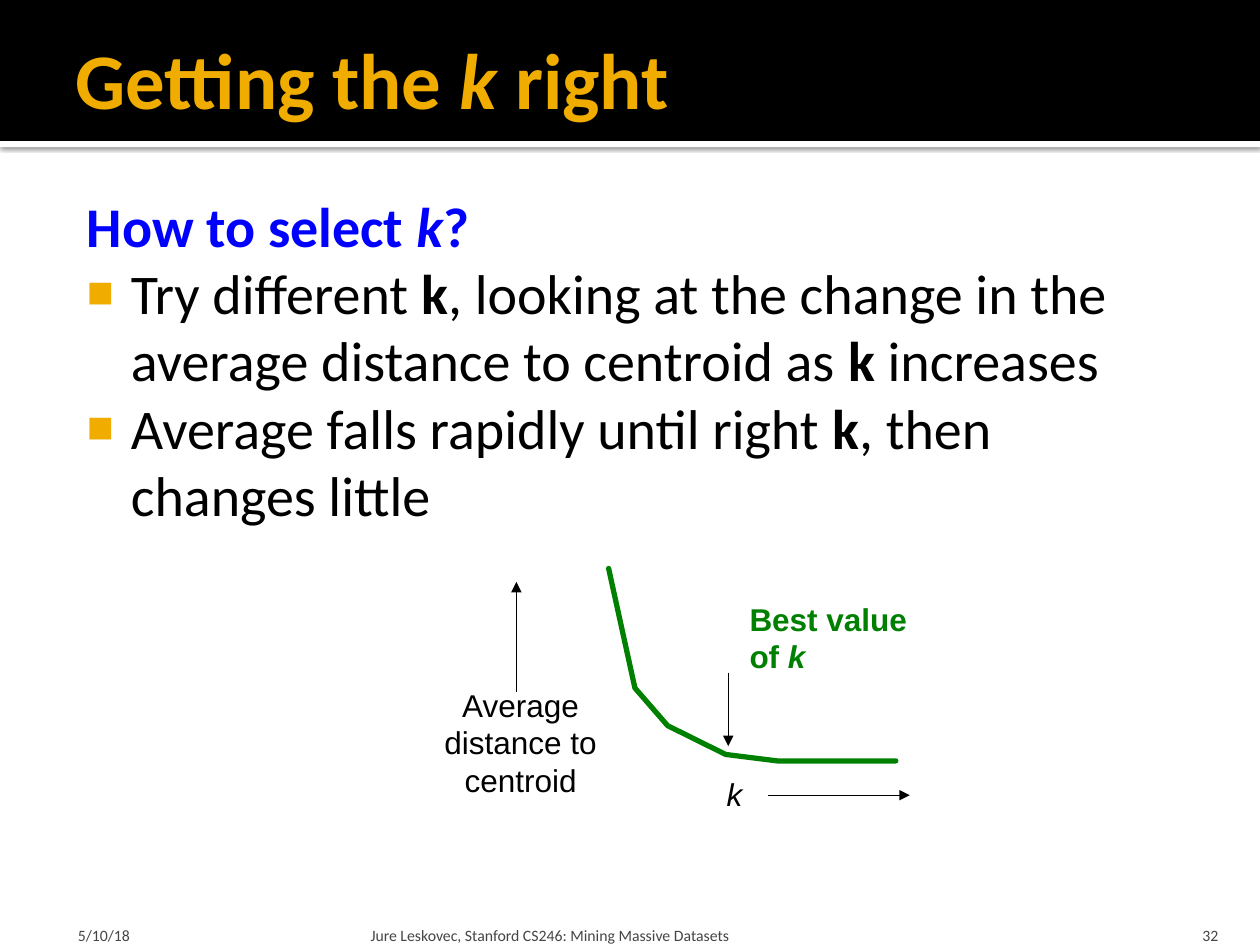
from pptx import Presentation
from pptx.dml.color import RGBColor as RGB
from pptx.enum.shapes import MSO_CONNECTOR as CONN, MSO_SHAPE as SHAPE
from pptx.enum.text import MSO_ANCHOR as ANCHOR, MSO_AUTO_SIZE as AUTO, PP_ALIGN as ALIGN
from pptx.oxml import parse_xml
from pptx.oxml.ns import nsdecls, qn
from pptx.util import Cm, Pt

# Content: a paragraph is a list of (text, style) runs; b = bold, i = italic
TITLE = [[("Getting the ", "b"), ("k", "bi"), (" right", "b")]]
HEADING = [("How to select ", "b"), ("k", "bi"), ("?", "b")]
BULLETS = [
    [("Try different ", ""), ("k", "b"),
     (", looking at the change in the average distance to centroid as ", ""),
     ("k", "b"), (" increases", "")],
    [("Average falls rapidly until right ", ""), ("k", "b"),
     (", then changes little", "")],
]
FOOTERS = [  # text, left, width, left inset, alignment
    ("5/10/18", 1.27, 5.92, 0.3, ALIGN.LEFT),
    ("Jure Leskovec, Stanford CS246: Mining Massive Datasets", 7.34, 15.29, 0.13, ALIGN.LEFT),
    ("32", 22.78, 2.03, 0.25, ALIGN.RIGHT),
]
LABELS = [  # paragraphs, box, colour, alignment
    ([[("k", "i")]], (14.4, 15.49, 0.84, 1.02), "black", ALIGN.LEFT),
    ([[("Average", "")], [("distance to", "")], [("centroid", "")]],
     (8.69, 13.69, 3.61, 2.57), "black", ALIGN.CENTER),
    ([[("Best value", "b")], [("of ", "b"), ("k", "bi")]],
     (14.86, 11.96, 3.71, 1.8), "green", ALIGN.LEFT),
]
ARROWS = [  # x and y of the start, x and y of the head
    (10.41, 13.94, 10.41, 11.73),
    (15.49, 16.03, 18.34, 16.03),
    (14.68, 13.56, 14.68, 15.04),
]
CURVE = [(12.27, 11.46), (12.8, 13.87), (13.46, 14.63), (14.63, 15.21),
         (15.67, 15.34), (17.2, 15.34), (18.06, 15.34)]

THEME = {
    "black": RGB(0, 0, 0), "white": RGB(255, 255, 255),
    "gold": RGB(0xF0, 0xAD, 0), "blue": RGB(0, 0, 255),
    "green": RGB(0, 0x80, 0), "grey": RGB(0x45, 0x45, 0x45),
    "text_font": "Calibri", "label_font": "Arial",
    "title": Pt(45), "body": Pt(32), "label": Pt(18), "footer": Pt(9),
}
INSETS = (0.25, 0.13, 0.25, 0.13)
WIDTH, BAND = 25.4, 2.84

prs = Presentation()
prs.slide_width, prs.slide_height = Cm(WIDTH), Cm(19.05)
s = prs.slides.add_slide(prs.slide_layouts[6])


def add_box(box, insets=INSETS, anchor=ANCHOR.TOP, wrap=True):
    tf = s.shapes.add_textbox(*map(Cm, box)).text_frame
    tf.word_wrap = wrap
    tf.auto_size = AUTO.NONE if wrap else AUTO.SHAPE_TO_FIT_TEXT
    tf.vertical_anchor = anchor
    tf.margin_left, tf.margin_top, tf.margin_right, tf.margin_bottom = map(Cm, insets)
    return tf


def add_runs(p, runs, size, color, font="text_font"):
    for text, style in runs:
        r = p.add_run()
        r.text = text
        r.font.size, r.font.name = THEME[size], THEME[font]
        r.font.color.rgb = THEME[color]
        r.font.bold, r.font.italic = "b" in style, "i" in style


def fill_box(tf, paragraphs, size, color, font="text_font", align=ALIGN.LEFT):
    for n, runs in enumerate(paragraphs):
        p = tf.add_paragraph() if n else tf.paragraphs[0]
        p.alignment = align
        add_runs(p, runs, size, color, font)


def indent(p, left, first=0):
    pPr = p._p.get_or_add_pPr()
    pPr.set("marL", str(Cm(left)))
    pPr.set("indent", str(Cm(first)))
    return pPr


def add_band(top, height, color):
    sp = s.shapes.add_shape(SHAPE.RECTANGLE, 0, Cm(top), Cm(WIDTH), Cm(height))
    sp.shadow.inherit = False
    sp.fill.solid()
    sp.fill.fore_color.rgb = THEME[color]
    sp.line.fill.background()
    return sp


# Header: white strip with a soft shadow, then the black band
strip = add_band(BAND, 0.13, "white")
strip._element.spPr.find(qn("a:effectLst")).append(parse_xml(
    f'<a:outerShdw {nsdecls("a")} blurRad="{Pt(2.5)}" dist="{Pt(0.8)}" dir="5400000">'
    '<a:srgbClr val="000000"><a:alpha val="60000"/></a:srgbClr></a:outerShdw>'))
add_band(0, BAND, "black")
fill_box(add_box((1.27, 0.2, 22.86, 2.74), (0.25, 0.13, 0.13, 0.13), ANCHOR.MIDDLE),
         TITLE, "title", "gold")

# Body: heading and bullets
tf = add_box((1.27, 3.61, 22.86, 14.61), (0.15, 0.25, 0.25, 0.13))
indent(tf.paragraphs[0], 0.33)
add_runs(tf.paragraphs[0], HEADING, "body", "blue")
for runs in BULLETS:
    p = tf.add_paragraph()
    pPr = indent(p, 1.22, -0.89)
    for tag in (f'buClr {nsdecls("a")}><a:srgbClr val="{THEME["gold"]}"/></a:buClr',
                f'buSzPct {nsdecls("a")} val="80000"/',
                f'buFont {nsdecls("a")} typeface="{THEME["label_font"]}"/',
                f'buChar {nsdecls("a")} char="■"/'):
        pPr.append(parse_xml(f"<a:{tag}>"))
    add_runs(p, runs, "body", "black")

# Diagram: labels, arrows and curve
for paragraphs, box, color, align in LABELS:
    fill_box(add_box(box, wrap=False), paragraphs, "label", color, "label_font", align)

for arrow in ARROWS:
    c = s.shapes.add_connector(CONN.STRAIGHT, *map(Cm, arrow))
    c.line.color.rgb, c.line.width = THEME["black"], Pt(0.75)
    spPr = c._element.spPr
    spPr.find(qn("a:ln")).append(parse_xml(f'<a:tailEnd {nsdecls("a")} type="triangle"/>'))
    spPr.append(parse_xml(f'<a:effectLst {nsdecls("a")}/>'))

points = [(Cm(x), Cm(y)) for x, y in CURVE]
builder = s.shapes.build_freeform(*points[0])
builder.add_line_segments(points[1:], close=False)
curve = builder.convert_to_shape()
curve.shadow.inherit = False
curve.fill.background()
curve.line.color.rgb, curve.line.width = THEME["green"], Pt(3)
ln = curve._element.spPr.find(qn("a:ln"))
ln.set("cap", "rnd")
ln.append(parse_xml(f'<a:round {nsdecls("a")}/>'))

# Footer
for text, left, width, inset, align in FOOTERS:
    tf = add_box((left, 18.29, width, 0.76), (inset, 0.13, inset, 0), ANCHOR.BOTTOM)
    fill_box(tf, [[(text, "")]], "footer", "grey", align=align)

prs.save("out.pptx")
